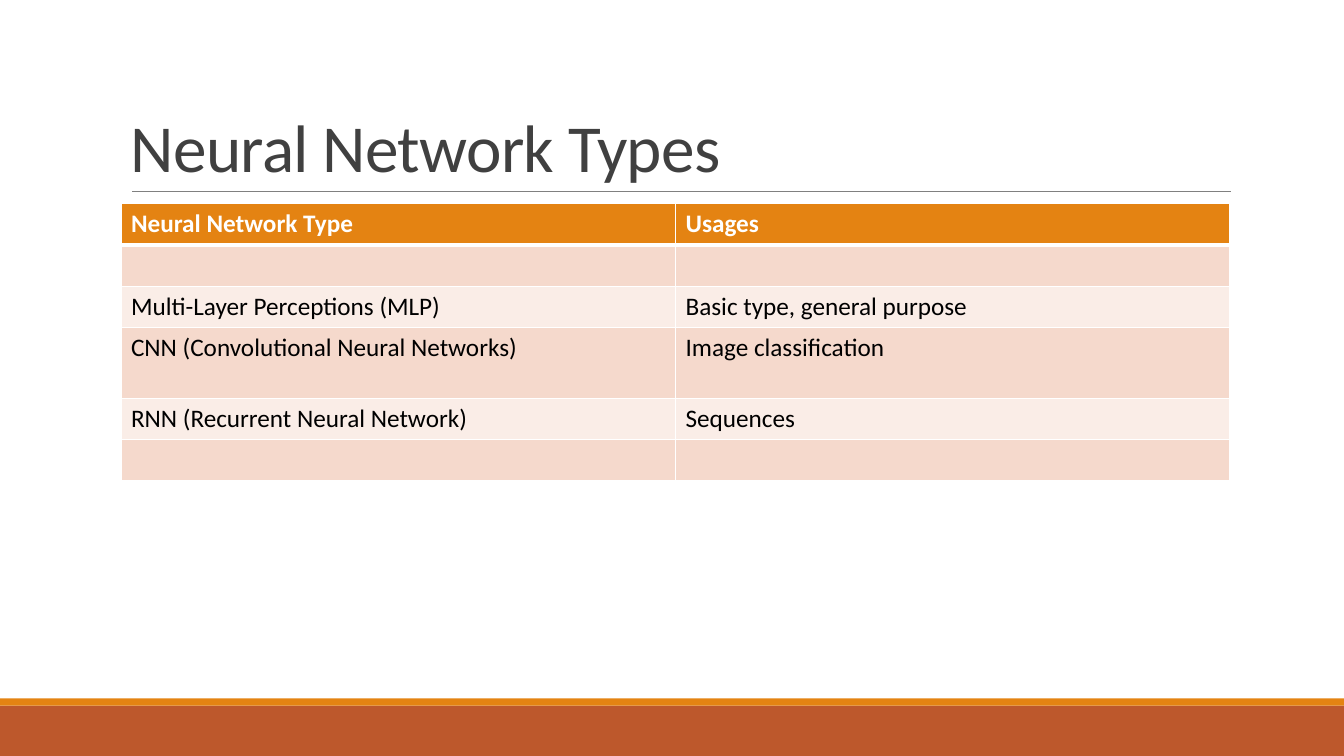
from dataclasses import dataclass

from lxml.etree import SubElement
from pptx import Presentation
from pptx.dml.color import RGBColor
from pptx.enum.shapes import MSO_CONNECTOR, MSO_SHAPE
from pptx.enum.text import MSO_ANCHOR
from pptx.oxml.ns import qn
from pptx.util import Inches, Pt


@dataclass(frozen=True)
class Theme:
    font: str = "Calibri"
    title_size: int = 48
    table_size: int = 18
    title: str = "404040"
    text: str = "000000"
    white: str = "FFFFFF"
    rule: str = "808080"
    orange: str = "E48312"
    rust: str = "BD582C"
    bands: tuple = ("F5D9CC", "FAEDE7")


THEME = Theme()
SLIDE_WIDTH = 13.33

NETWORK_ROWS = [
    ("Neural Network Type", "Usages"),
    ("", ""),
    ("Multi-Layer Perceptions (MLP)", "Basic type, general purpose"),
    ("CNN (Convolutional Neural Networks)", "Image classification"),
    ("RNN (Recurrent Neural Network)", "Sequences"),
    ("", ""),
]
ROW_HEIGHT = 0.41
TALL_ROWS = {3: 0.7}


def style_font(font, size, color, bold=False):
    font.name = THEME.font
    font.size = Pt(size)
    font.bold = bold
    font.color.rgb = RGBColor.from_string(color)


def add_band(slide, top, height, color):
    band = slide.shapes.add_shape(MSO_SHAPE.RECTANGLE, 0, Inches(top),
                                  Inches(SLIDE_WIDTH), Inches(height))
    band.shadow.inherit = False
    band.fill.solid()
    band.fill.fore_color.rgb = RGBColor.from_string(color)
    band.line.fill.background()


def add_rule(slide, left, right, top):
    rule = slide.shapes.add_connector(MSO_CONNECTOR.STRAIGHT, Inches(left), Inches(top),
                                      Inches(right), Inches(top))
    rule.line.color.rgb = RGBColor.from_string(THEME.rule)
    rule.line.width = Pt(0.5)
    SubElement(rule.element.spPr, qn("a:effectLst"))


def add_title(slide, text):
    box = slide.shapes.add_textbox(Inches(1.2), Inches(0.31), Inches(11), Inches(1.59))
    frame = box.text_frame
    frame.text = text
    frame.word_wrap = True
    frame.vertical_anchor = MSO_ANCHOR.BOTTOM
    paragraph = frame.paragraphs[0]
    paragraph.line_spacing = 0.85
    run = paragraph.runs[0]
    style_font(run.font, THEME.title_size, THEME.title)
    run.font._element.set("spc", "-50")


def set_borders(cell, top, bottom):
    properties = cell._tc.get_or_add_tcPr()
    for tag, width in (("a:lnL", 1), ("a:lnR", 1), ("a:lnT", top), ("a:lnB", bottom)):
        line = SubElement(properties, qn(tag), w=str(Pt(width)))
        fill = SubElement(line, qn("a:solidFill"))
        SubElement(fill, qn("a:srgbClr"), val=THEME.white)


def style_cell(cell, row_index):
    header = row_index == 0
    # Borders come before the fill in the cell properties
    set_borders(cell, top=3 if row_index == 1 else 1, bottom=3 if header else 1)
    cell.fill.solid()
    color = THEME.orange if header else THEME.bands[(row_index - 1) % 2]
    cell.fill.fore_color.rgb = RGBColor.from_string(color)
    style_font(cell.text_frame.paragraphs[0].font, THEME.table_size,
               THEME.white if header else THEME.text, bold=header)


def add_network_table(slide, rows):
    heights = [TALL_ROWS.get(index, ROW_HEIGHT) for index in range(len(rows))]
    table = slide.shapes.add_table(len(rows), len(rows[0]), Inches(1.2), Inches(2.02),
                                   Inches(11), Inches(sum(heights))).table
    for row_index, texts in enumerate(rows):
        table.rows[row_index].height = Inches(heights[row_index])
        for column_index, text in enumerate(texts):
            cell = table.cell(row_index, column_index)
            cell.text = text
            style_cell(cell, row_index)


def main():
    presentation = Presentation()
    presentation.slide_width = Inches(SLIDE_WIDTH)
    presentation.slide_height = Inches(7.5)
    slide = presentation.slides.add_slide(presentation.slide_layouts[6])

    # Footer bands
    add_band(slide, 7, 0.5, THEME.rust)
    add_band(slide, 6.93, 0.07, THEME.orange)

    # Heading
    add_rule(slide, 1.31, 12.21, 1.9)
    add_title(slide, "Neural Network Types")

    # Network types and what they are used for
    add_network_table(slide, NETWORK_ROWS)

    presentation.save("out.pptx")


if __name__ == "__main__":
    main()
